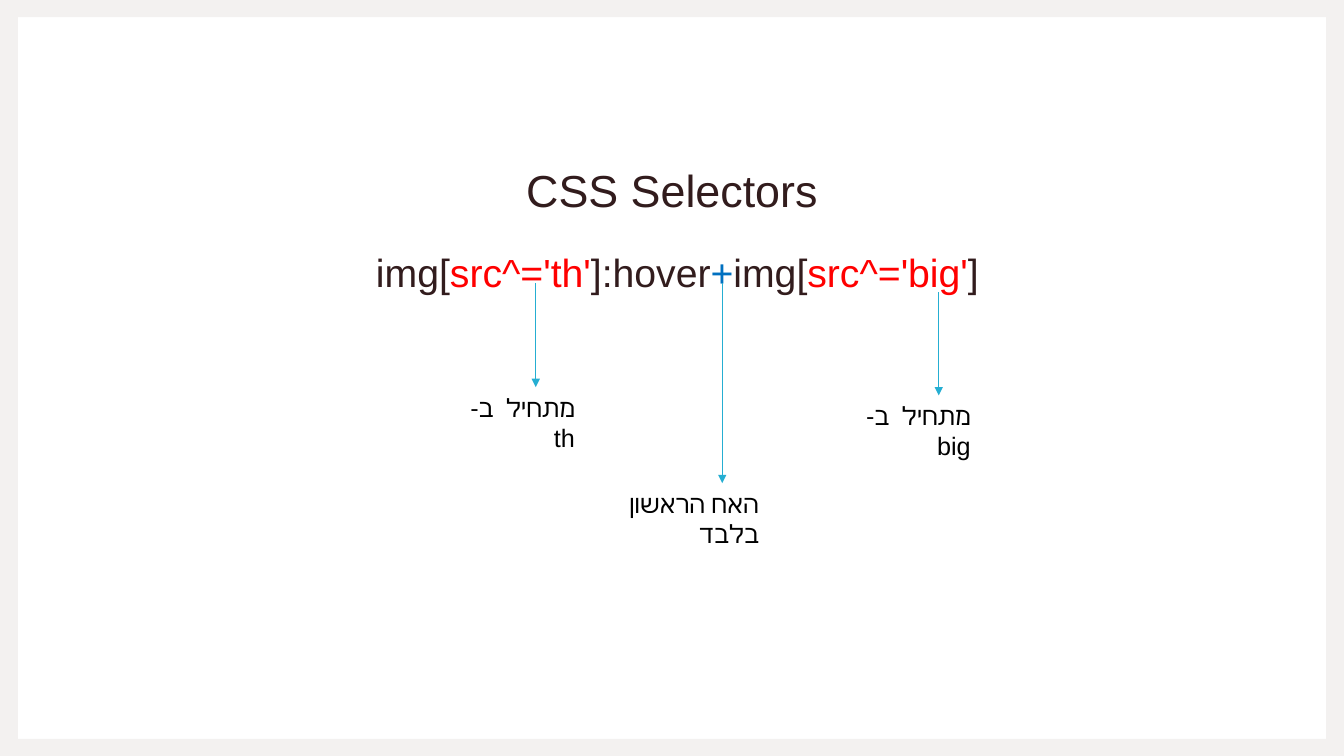
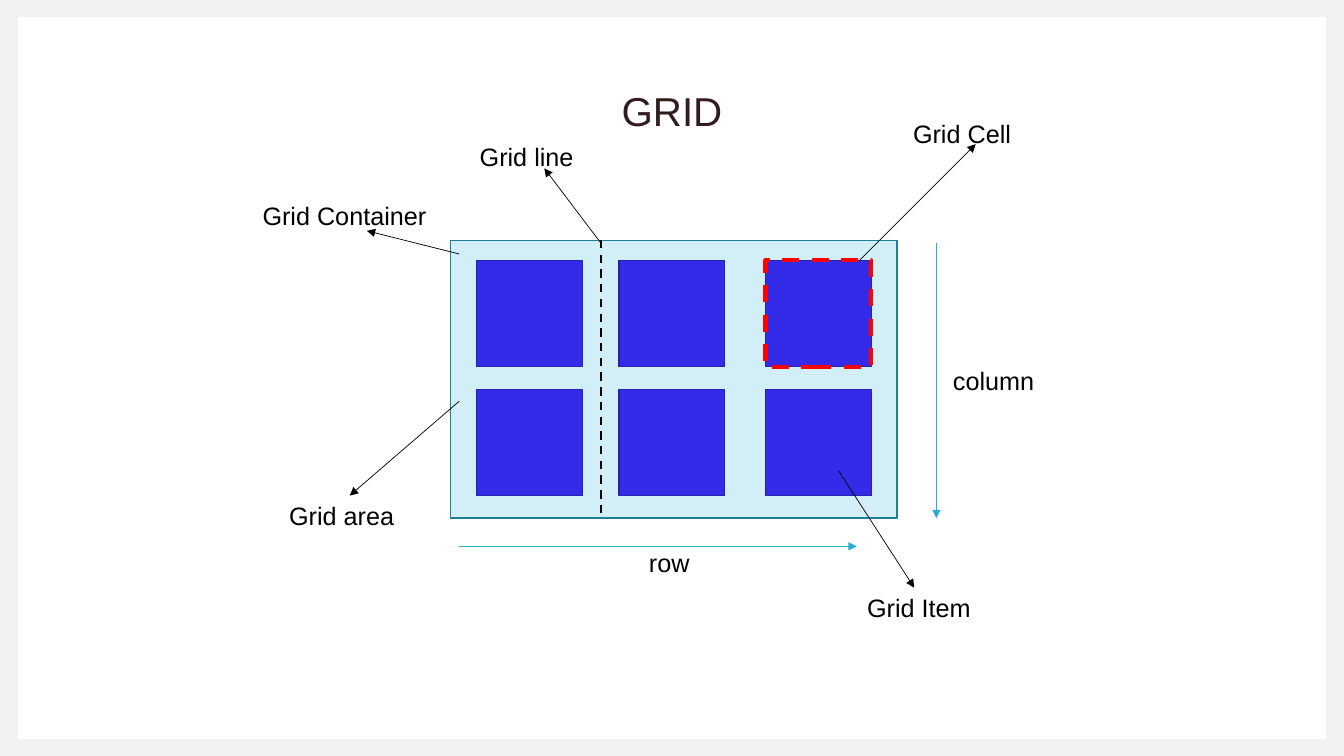
"""Build two teaching slides: CSS selectors and the parts of a CSS grid."""
from dataclasses import dataclass
from itertools import product

from pptx import Presentation
from pptx.dml.color import RGBColor as Rgb
from pptx.enum.dml import MSO_LINE_DASH_STYLE as Dash
from pptx.enum.shapes import MSO_CONNECTOR as Connector, MSO_SHAPE as Shape
from pptx.enum.text import MSO_ANCHOR as Anchor, MSO_AUTO_SIZE as AutoSize, PP_ALIGN as Align
from pptx.oxml.ns import qn
from pptx.util import Inches, Pt
from lxml.etree import SubElement

UNIT = Inches(1) / 3
COLUMNS, ROWS = 40, 22.5


@dataclass(frozen=True)
class Theme:
    """Colours and type sizes shared by the slides."""
    font: str = "Arial"
    frame: str = "F3F1F0"
    title: str = "321C1D"
    text: str = "000000"
    accent: str = "25AED2"
    attribute: str = "FF0000"
    combinator: str = "0070C0"
    container: str = "D2EFF7"
    container_line: str = "1B819B"
    item: str = "332BE7"
    item_line: str = "2620AB"
    title_size: float = 32
    small_title_size: float = 28.8
    code_size: float = 28
    label_size: float = 18


THEME = Theme()


def grid(*units):
    """Convert grid units to whole lengths."""
    return [round(unit * UNIT) for unit in units]


def apply(target, values):
    """Set each named attribute on the target."""
    for name, value in values.items():
        setattr(target, name, value)


def add_text(slide, box, runs, size, frame_format, paragraph_format):
    """Add one paragraph made of (text, colour) runs."""
    shape = slide.shapes.add_textbox(*grid(*box))
    apply(shape.text_frame, {"word_wrap": True, **frame_format})
    paragraph = shape.text_frame.paragraphs[0]
    apply(paragraph, paragraph_format)
    for text, color in runs:
        run = paragraph.add_run()
        run.text = text
        apply(run.font, {"name": THEME.font, "size": Pt(size)})
        run.font.color.rgb = Rgb.from_string(color)
    return shape


def add_title(slide, text, height, size):
    """Add the centred slide title, resting on the bottom of its box."""
    add_text(slide, (3.38, 2.37, 33.24, height), [(text, THEME.title)], size,
             {"vertical_anchor": Anchor.BOTTOM},
             {"alignment": Align.CENTER, "line_spacing": 1.1})


def add_label(slide, text, left, top, width, inset=0.36):
    """Add a right-to-left label, kept off its right edge by the inset."""
    margin_left, margin_right = grid(0.15, inset)
    shape = add_text(slide, (left, top, width, 1.2), [(text, THEME.text)], THEME.label_size,
                     {"auto_size": AutoSize.SHAPE_TO_FIT_TEXT,
                      "margin_left": margin_left, "margin_right": margin_right},
                     {"alignment": Align.RIGHT})
    shape.text_frame.paragraphs[0]._p.get_or_add_pPr().set("rtl", "1")
    return shape


def add_line(slide, start, end, color, width=0.5, dash=None, arrow=True):
    """Add a straight line, with an arrowhead at its end by default."""
    line = slide.shapes.add_connector(Connector.STRAIGHT, *grid(*start, *end))
    apply(line.line, {"width": Pt(width), "dash_style": dash})
    line.line.color.rgb = Rgb.from_string(color)
    if arrow:
        SubElement(line.line._get_or_add_ln(), qn("a:tailEnd"), type="triangle")
    SubElement(line._element.spPr, qn("a:effectLst"))
    return line


def add_box(slide, box, fill, color, width=1, dash=None):
    """Add an outlined rectangle, left open when it has no fill."""
    shape = slide.shapes.add_shape(Shape.RECTANGLE, *grid(*box))
    shape.shadow.inherit = False
    if fill:
        shape.fill.solid()
        shape.fill.fore_color.rgb = Rgb.from_string(fill)
    else:
        shape.fill.background()
    apply(shape.line, {"width": Pt(width), "dash_style": dash})
    shape.line.color.rgb = Rgb.from_string(color)


def add_frame(slide):
    """Draw the border band around the slide as one outline with a hole."""
    left, top = 0.53, 0.51
    right, bottom = COLUMNS - left, ROWS - top
    hole = [grid(*point) for point in ((left, top), (left, bottom), (right, bottom), (right, top))]
    edge = [grid(*point) for point in ((0, 0), (COLUMNS, 0), (COLUMNS, ROWS), (0, ROWS))]
    builder = slide.shapes.build_freeform(*hole[0])
    builder.add_line_segments(hole[1:], close=True)
    builder.move_to(*edge[0])
    builder.add_line_segments(edge[1:], close=True)
    band = builder.convert_to_shape()
    band.shadow.inherit = False
    band.fill.solid()
    band.fill.fore_color.rgb = Rgb.from_string(THEME.frame)
    band.line.fill.background()


def add_slide(presentation, title, height, size):
    """Add a blank slide with the shared frame and title."""
    slide = presentation.slides.add_slide(presentation.slide_layouts[6])
    add_frame(slide)
    add_title(slide, title, height, size)
    return slide


def build_selectors(presentation):
    """Build the selector slide with a note under each part."""
    slide = add_slide(presentation, "CSS Selectors", 4.23, THEME.title_size)
    code = [(" img[", THEME.title), ("src^='th'", THEME.attribute), ("]:hover", THEME.title),
            ("+", THEME.combinator), ("img[", THEME.title),
            ("src^='big'", THEME.attribute), ("]", THEME.title)]
    add_text(slide, (3.38, 7.1, 33.24, 13.02), code, THEME.code_size, {},
             {"alignment": Align.CENTER, "line_spacing": 1.1, "space_before": Pt(10)})
    notes = [("מתחיל  ב- th", 13.71, 11.52, 4.47, 1.07, 8.43),
             ("מתחיל  ב- big", 25.51, 11.77, 4.86, 1.48, 8.7),
             ("האח הראשון בלבד", 18.45, 14.38, 6.09, 1.95, 8.43)]
    for text, left, top, width, inset, start in notes:
        note = add_label(slide, text, left, top, width, inset)
        middle = left + width / 2
        arrow = add_line(slide, (middle, start), (middle, top), THEME.accent)
        arrow.end_connect(note, 0)


def build_grid(presentation):
    """Build the grid slide with its labelled parts."""
    slide = add_slide(presentation, "GRID", 1.78, THEME.small_title_size)
    add_box(slide, (13.41, 7.16, 13.29, 8.26), THEME.container, THEME.container_line)
    columns, rows, side = (14.19, 18.42, 22.78), (7.75, 11.6), 3.15
    for top, left in product(rows, columns):
        add_box(slide, (left, top, side, side), THEME.item, THEME.item_line)
    add_line(slide, (17.88, 7.14), (17.88, 15.36), THEME.text, 1.5, Dash.DASH, arrow=False)
    add_box(slide, (columns[-1], rows[0], side, 3.18), None, THEME.attribute, 3, Dash.DASH)
    parts = [("Grid Container", (7.53, 5.82, 5.52), (13.67, 7.56), (10.92, 6.87), THEME.text),
             ("Grid Item", (25.53, 17.49, 3.72), (24.96, 14.01), (27.21, 17.49), THEME.text),
             ("column", (28.08, 10.72, 3.06), (27.87, 7.22), (27.87, 15.42), THEME.accent),
             ("row", (19.05, 16.14, 1.83), (13.67, 16.26), (25.5, 16.26), THEME.accent),
             ("Grid line", (14.01, 4.05, 3.42), (17.88, 7.23), (16.2, 5.01), THEME.text),
             ("Grid Cell", (26.91, 3.37, 3.54), (25.59, 7.74), (29.04, 4.29), THEME.text),
             ("Grid area", (8.34, 14.74, 3.75), (13.67, 11.94), (10.41, 14.75), THEME.text)]
    for text, place, start, end, color in parts:
        add_line(slide, start, end, color)
        add_label(slide, text, *place)


def main():
    """Build and save the presentation."""
    presentation = Presentation()
    width, height = grid(COLUMNS, ROWS)
    apply(presentation, {"slide_width": width, "slide_height": height})
    build_selectors(presentation)
    build_grid(presentation)
    presentation.save("out.pptx")


if __name__ == "__main__":
    main()
